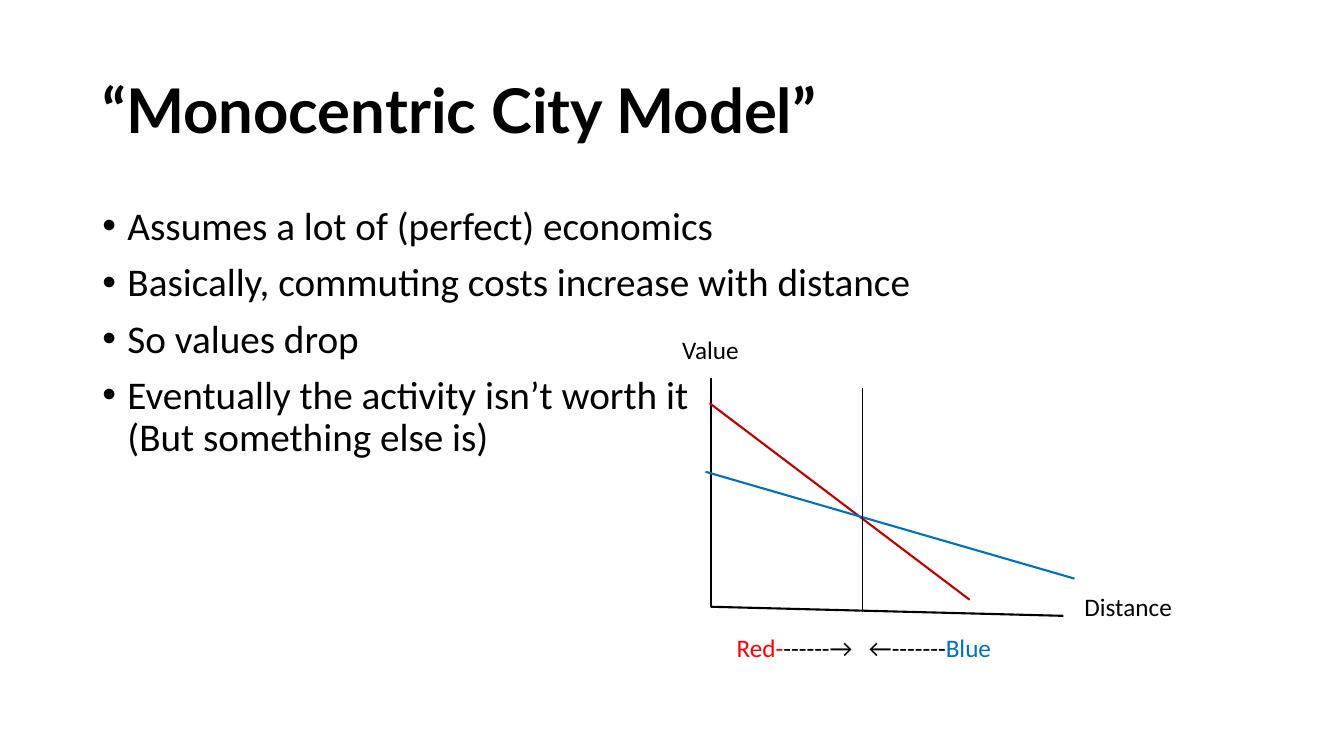
from pptx import Presentation
from pptx.dml.color import RGBColor
from pptx.enum.shapes import MSO_CONNECTOR as Connector
from pptx.enum.text import MSO_ANCHOR as Anchor, MSO_AUTO_SIZE as AutoSize
from pptx.oxml.ns import qn
from pptx.util import Pt
from lxml.etree import SubElement

BLACK = RGBColor(0x00, 0x00, 0x00)
BRIGHT_RED = RGBColor(0xFF, 0x00, 0x00)
RED = RGBColor(0xC0, 0x00, 0x00)
BLUE = RGBColor(0x00, 0x70, 0xC0)

POINTS = [
    "Assumes a lot of (perfect) economics",
    "Basically, commuting costs increase with distance",
    "So values drop",
    "Eventually the activity isn’t worth it\v(But something else is)",
]
ORIGIN = (507.6, 433.4)
VALUE_TOP = (507.6, 270)
DISTANCE_END = (759.6, 439.9)


def add_text_frame(slide, left, top, width, height):
    frame = slide.shapes.add_textbox(Pt(left), Pt(top), Pt(width), Pt(height)).text_frame
    frame.word_wrap = True
    return frame


def style_run(run, size, color=BLACK, font_name="Calibri", bold=False):
    run.font.size = Pt(size)
    run.font.name = font_name
    run.font.bold = bold
    run.font.color.rgb = color


def add_title(slide, title):
    frame = add_text_frame(slide, 66, 28.8, 828, 104.4)
    frame.vertical_anchor = Anchor.MIDDLE
    frame.text = title
    heading = frame.paragraphs[0]
    heading.line_spacing = 0.9
    style_run(heading.runs[0], 44, font_name="Lato", bold=True)


def add_bullets(slide, points):
    frame = add_text_frame(slide, 66, 144, 828, 342.7)
    for index, point in enumerate(points):
        bullet = frame.add_paragraph() if index else frame.paragraphs[0]
        bullet.text = point
        bullet.line_spacing = 0.9
        bullet.space_before = Pt(10)
        properties = bullet._p.get_or_add_pPr()
        properties.set("marL", str(Pt(18)))
        properties.set("indent", str(Pt(-18)))
        SubElement(properties, qn("a:buFont")).set("typeface", "Arial")
        SubElement(properties, qn("a:buChar")).set("char", "•")
        for run in bullet.runs:
            style_run(run, 28)


def add_label(slide, left, top, width, parts):
    """Add a one-line label from (text, color) parts and return its paragraph."""
    frame = add_text_frame(slide, left, top, width, 29)
    frame.auto_size = AutoSize.SHAPE_TO_FIT_TEXT
    label = frame.paragraphs[0]
    for text, color in parts:
        run = label.add_run()
        run.text = text
        style_run(run, 18, color)
    return label


def add_tab_stop(paragraph, position):
    tabs = SubElement(paragraph._p.get_or_add_pPr(), qn("a:tabLst"))
    tab = SubElement(tabs, qn("a:tab"))
    tab.set("pos", str(Pt(position)))
    tab.set("algn", "l")


def add_line(slide, start, end, color=BLACK, width=1.5):
    ends = [Pt(length) for length in (*start, *end)]
    line = slide.shapes.add_connector(Connector.STRAIGHT, *ends)
    line.line.color.rgb = color
    line.line.width = Pt(width)
    SubElement(line._element.spPr, qn("a:effectLst"))


def add_value_graph(slide):
    add_line(slide, VALUE_TOP, ORIGIN)
    add_line(slide, DISTANCE_END, ORIGIN)
    add_line(slide, (692.6, 428.4), (506.9, 288), RED)
    add_label(slide, 767.5, 419, 78.5, [("Distance", BLACK)])
    add_label(slide, 480.2, 235.4, 78.5, [("Value", BLACK)])
    add_line(slide, (767.5, 413.3), (504, 337), BLUE)
    add_line(slide, (616.3, 277.2), (616.3, 437), width=0.5)
    zones = add_label(slide, 519.1, 447.8, 217.4, [
        ("Red-", BRIGHT_RED),
        ("------→\t←-------", BLACK),
        ("Blue", BLUE),
    ])
    add_tab_stop(zones, 94.5)


def main():
    deck = Presentation()
    deck.slide_width, deck.slide_height = Pt(960), Pt(540)
    slide = deck.slides.add_slide(deck.slide_layouts[6])
    add_title(slide, "“Monocentric City Model”")
    add_bullets(slide, POINTS)
    add_value_graph(slide)
    deck.save("out.pptx")


if __name__ == "__main__":
    main()
